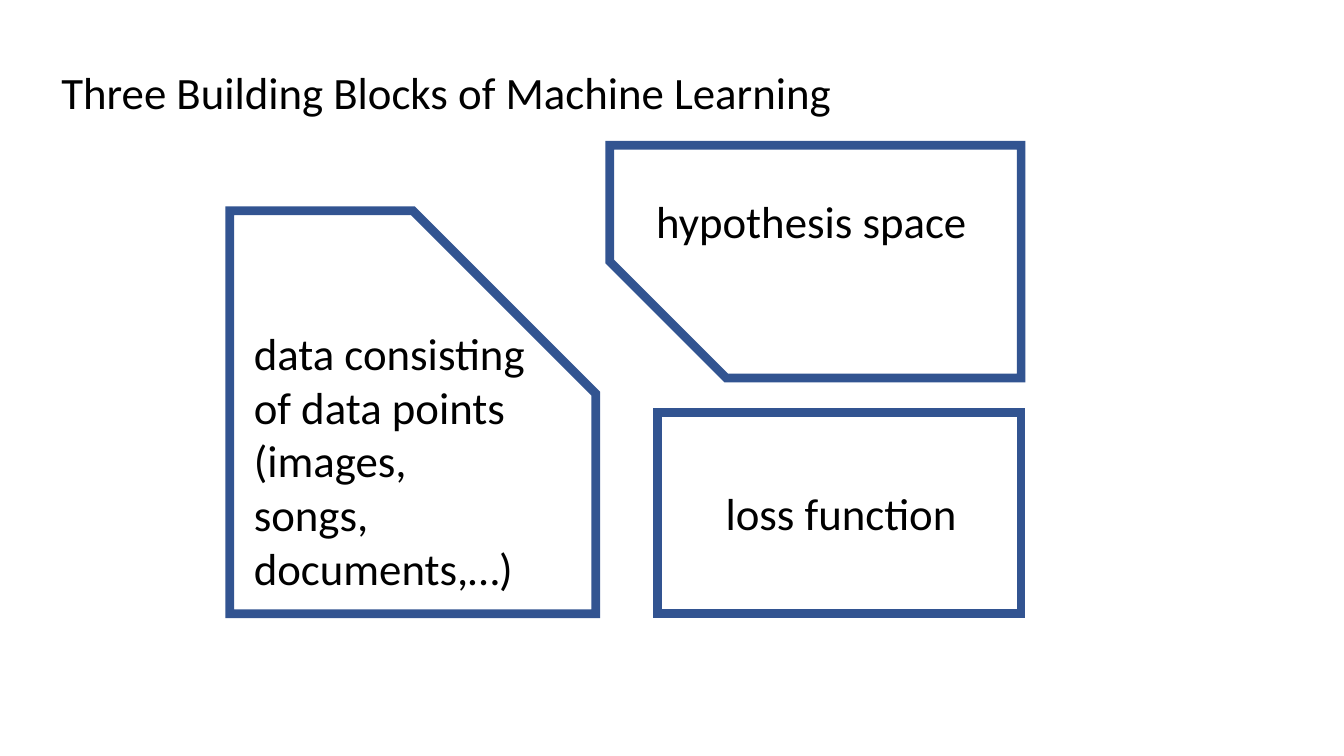
from pptx import Presentation
from pptx import util as u
from pptx.dml.color import RGBColor
from pptx.enum import shapes, text
from pptx.oxml.ns import qn
from lxml import etree

COLUMNS, ROWS = 160, 90
SNIPPED, PLAIN = shapes.MSO_SHAPE.SNIP_1_RECTANGLE, shapes.MSO_SHAPE.RECTANGLE

deck = Presentation()
deck.slide_width, deck.slide_height = u.Inches(13.33), u.Inches(7.5)
slide = deck.slides.add_slide(deck.slide_layouts[6])


def colour(value):
    return RGBColor.from_string(value)


def emu(box):
    column, row = deck.slide_width / COLUMNS, deck.slide_height / ROWS
    return [round(n * step) for n, step in zip(box, (column, row) * 2)]


def within(outer, inner):
    return outer[0] + inner[0], outer[1] + inner[1], inner[2], inner[3]


def write(box, lines):
    frame = slide.shapes.add_textbox(*emu(box)).text_frame
    frame.word_wrap = True
    frame.auto_size = text.MSO_AUTO_SIZE.SHAPE_TO_FIT_TEXT
    for i, line in enumerate(lines):
        paragraph = frame.paragraphs[0] if i == 0 else frame.add_paragraph()
        run = paragraph.add_run()
        run.text = line
        run.font.name, run.font.size = "Calibri", u.Pt(32)
        run.font.color.rgb = colour("000000")


def block(box, outline, label_box, lines, turn=0):
    piece = slide.shapes.add_shape(outline, *emu(box))
    piece.shadow.inherit = False
    piece.rotation = turn
    piece.fill.background()
    piece.line.color.rgb = colour("325491")
    piece.line.width = u.Pt(6.25)
    corner = etree.SubElement(piece.line._get_or_add_ln(), qn("a:miter"))
    corner.set("lim", "800000")
    if outline == SNIPPED:
        piece.adjustments[0] = 0.5
    write(within(box, label_box), lines)


def building_blocks(box):
    width, height = box[2:]
    data = (0, 7.8, 43.56, height - 7.8)
    hypothesis = (45.24, 0, width - 45.24, 27.72)
    loss = (50.88, 31.8, width - 50.88, height - 31.8)
    block(within(box, data), SNIPPED, (1.68, 13.08, 37.56, 33.48),
          ["data consisting", "of data points", "(images,", "songs,", "documents,…)"])
    block(within(box, hypothesis), SNIPPED, (4.32, 5.16, 39.72, 7.68),
          ["hypothesis space"], turn=180)
    block(within(box, loss), PLAIN, (6.96, 8.16, 31.44, 7.68), ["loss function"])


building_blocks((27.36, 17.28, 94.2, 55.8))
write((6.12, 7.08, 95.04, 7.68), ["Three Building Blocks of Machine Learning"])
deck.save("out.pptx")
